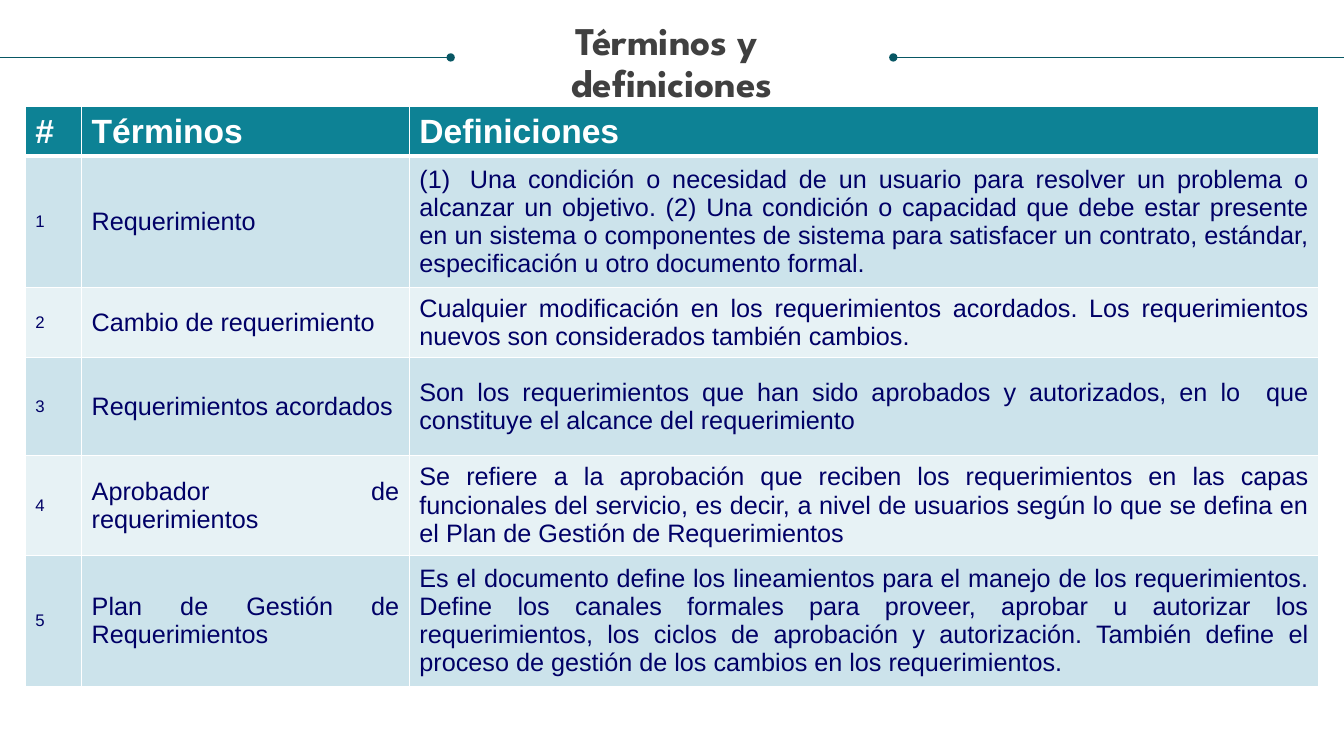
from lxml import etree
from pptx import Presentation
from pptx.dml.color import RGBColor
from pptx.enum import shapes, text
from pptx.oxml import ns
from pptx.util import Inches, Pt

WIDTH, HEIGHT = 13.33, 7.5
MARGIN = 0.25
RULE_TOP = 0.57
RULE_LENGTH = 4.47
COLUMNS = [0.56, 3.25, 9.02]
ROWS = [0.49, 1.3, 0.7, 0.97, 0.99, 1.3]
COLORS = {
    "rule": "085764",
    "title": "404040",
    "header": "0D8295",
    "dark_band": "CCE3EB",
    "light_band": "E7F2F5",
    "body": "000066",
    "white": "FFFFFF",
}
HEADINGS = ["#", "Términos", "Definiciones"]
TERMS = [
    ("Requerimiento ",
     "(1)\tUna condición o necesidad de un usuario para resolver un problema o "
     "alcanzar un objetivo. (2) Una condición o capacidad que debe estar presente "
     "en un sistema o componentes de sistema para satisfacer un contrato, estándar, "
     "especificación u otro documento formal. "),
    ("Cambio de requerimiento ",
     "Cualquier modificación en los requerimientos acordados. Los requerimientos "
     "nuevos son considerados también cambios. "),
    ("Requerimientos acordados",
     "Son los requerimientos que han sido aprobados y autorizados, en lo  que "
     "constituye el alcance del requerimiento"),
    ("Aprobador de requerimientos",
     "Se refiere a la aprobación que reciben los requerimientos en las capas "
     "funcionales del servicio, es decir, a nivel de usuarios según lo que se defina "
     "en el Plan de Gestión de Requerimientos"),
    ("Plan de Gestión de Requerimientos",
     "Es el documento define los lineamientos para el manejo de los requerimientos. "
     "Define los canales formales para proveer, aprobar u autorizar los "
     "requerimientos, los ciclos de aprobación y autorización. También define el "
     "proceso de gestión de los cambios en los requerimientos."),
]


def color(name):
    return RGBColor.from_string(COLORS[name])


def add_span(para, words, font, size, color_name, bold):
    span = para.add_run()
    span.text = words
    span.font.name = font
    span.font.size = Pt(size)
    span.font.bold = bold
    span.font.color.rgb = color(color_name)


def add_title(page, lines):
    box = page.shapes.title
    box.left, box.top = Inches(MARGIN), Inches(0.21)
    box.width, box.height = Inches(WIDTH - 2 * MARGIN), Inches(1.27)
    frame = box.text_frame
    frame.margin_left = frame.margin_right = 0
    frame.margin_top = frame.margin_bottom = 0
    frame.vertical_anchor = text.MSO_ANCHOR.TOP
    frame.auto_size = text.MSO_AUTO_SIZE.NONE
    frame.word_wrap = True
    for index, line in enumerate(lines):
        para = frame.add_paragraph() if index else frame.paragraphs[0]
        para.alignment = text.PP_ALIGN.CENTER
        para.line_spacing = 0.9
        add_span(para, line, "League Spartan", 28, "title", True)


def add_rule(page, edge, dot):
    rule = page.shapes.add_connector(
        shapes.MSO_CONNECTOR.STRAIGHT,
        Inches(edge), Inches(RULE_TOP), Inches(dot), Inches(RULE_TOP))
    rule.line.color.rgb = color("rule")
    rule.line.width = Pt(0.5)
    etree.SubElement(rule.line._get_or_add_ln(), ns.qn("a:tailEnd"), type="oval")
    etree.SubElement(rule._element.spPr, ns.qn("a:effectLst"))


def set_borders(cell, bottom_width):
    properties = cell._tc.get_or_add_tcPr()
    widths = {"lnL": 1, "lnR": 1, "lnT": 1, "lnB": bottom_width}
    for index, (side, width) in enumerate(widths.items()):
        border = etree.Element(ns.qn("a:" + side), w=str(Pt(width)))
        fill = etree.SubElement(border, ns.qn("a:solidFill"))
        etree.SubElement(fill, ns.qn("a:srgbClr"), val=COLORS["white"])
        properties.insert(index, border)


def fill_cell(cell, words, size, color_name, fill_name, heading):
    cell.fill.solid()
    cell.fill.fore_color.rgb = color(fill_name)
    cell.vertical_anchor = text.MSO_ANCHOR.MIDDLE
    set_borders(cell, 3 if heading else 1)
    para = cell.text_frame.paragraphs[0]
    para.alignment = text.PP_ALIGN.JUSTIFY
    para.space_before = Pt(size * 0.2)
    add_span(para, words, "Arial", size, color_name, heading)


def add_glossary(page):
    table = page.shapes.add_table(
        len(ROWS), len(COLUMNS), Inches(MARGIN), Inches(1.06),
        Inches(sum(COLUMNS)), Inches(sum(ROWS))).table
    for column, width in zip(table.columns, COLUMNS):
        column.width = Inches(width)
    for row, height in zip(table.rows, ROWS):
        row.height = Inches(height)
    for cell, heading in zip(table.rows[0].cells, HEADINGS):
        fill_cell(cell, heading, 24, "white", "header", True)
    for number, (term, definition) in enumerate(TERMS, 1):
        band = "dark_band" if number % 2 else "light_band"
        entries = [(str(number), 12), (term, 18), (definition, 18)]
        for cell, (words, size) in zip(table.rows[number].cells, entries):
            fill_cell(cell, words, size, "body", band, False)


def main():
    deck = Presentation()
    deck.slide_width, deck.slide_height = Inches(WIDTH), Inches(HEIGHT)
    page = deck.slides.add_slide(deck.slide_layouts[5])
    add_title(page, ["Términos y ", "definiciones"])
    add_rule(page, 0, RULE_LENGTH)
    add_rule(page, WIDTH, WIDTH - RULE_LENGTH)
    add_glossary(page)
    deck.save("out.pptx")


if __name__ == "__main__":
    main()
